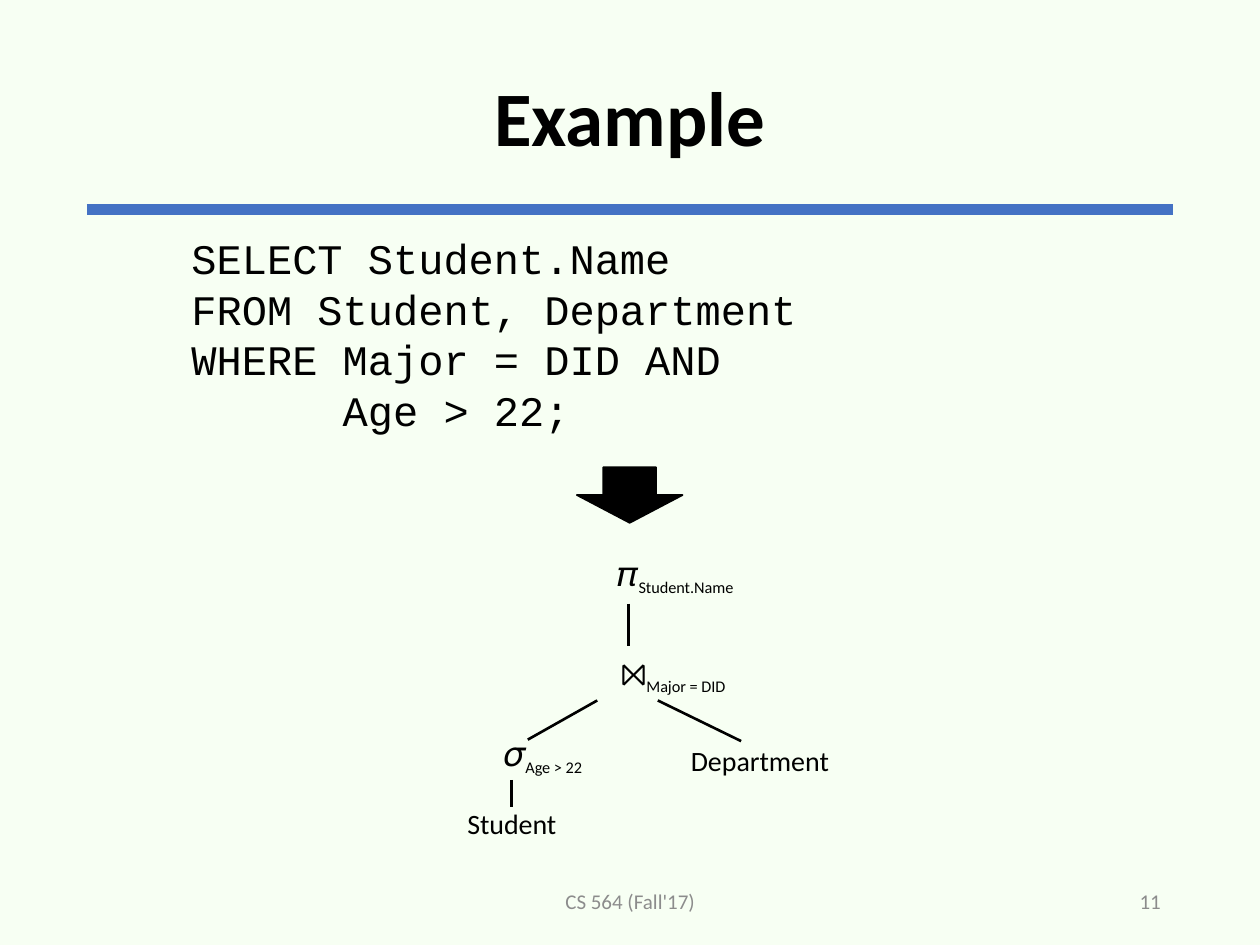
"""Build a slide that turns an SQL query into a relational algebra tree."""
from typing import NamedTuple

from lxml import etree
from pptx import Presentation
from pptx.dml.color import RGBColor
from pptx.enum.shapes import MSO_CONNECTOR, MSO_SHAPE
from pptx.enum.text import MSO_ANCHOR, PP_ALIGN
from pptx.oxml.ns import qn
from pptx.util import Cm, Pt

STRAIGHT = MSO_CONNECTOR.STRAIGHT
DOWN_ARROW = MSO_SHAPE.DOWN_ARROW
TOP, MIDDLE = MSO_ANCHOR.TOP, MSO_ANCHOR.MIDDLE
LEFT, CENTER, RIGHT = PP_ALIGN.LEFT, PP_ALIGN.CENTER, PP_ALIGN.RIGHT
BLACK = RGBColor(0x00, 0x00, 0x00)
GRAY = RGBColor(0x8C, 0x8C, 0x8C)
BLUE = RGBColor(0x44, 0x72, 0xC4)
PALE_GREEN = RGBColor(0xF7, 0xFF, 0xF3)
NODE_W, NODE_H = 3.68, 1.0
QUERY = """SELECT Student.Name
FROM Student, Department
WHERE Major = DID AND
      Age > 22;"""


class Label(NamedTuple):
    text: str
    x: float
    y: float
    w: float
    h: float
    size: float
    align: PP_ALIGN = CENTER
    anchor: MSO_ANCHOR = MIDDLE
    font: str = "Calibri"
    color: RGBColor = BLACK
    bold: bool = False
    spacing: float = 1.0


class Node(NamedTuple):
    cx: float
    cy: float
    text: str
    size: float = 16
    subscript: str = ""


class Line(NamedTuple):
    x1: float
    y1: float
    x2: float
    y2: float
    color: RGBColor = BLACK
    width: float = 1.5


LABELS = [
    Label("Example", 1.75, 0.61, 21.9, 3.68, 44, bold=True, spacing=0.9),
    Label("CS 564 (Fall'17)", 8.41, 17.65, 8.59, 1.02, 12, color=GRAY),
    Label("11", 17.93, 17.65, 5.72, 1.02, 12, align=RIGHT, color=GRAY),
    Label(QUERY, 3.61, 4.57, 18.21, 4.37, 24, LEFT, TOP, "Courier New"),
]
NODES = [
    Node(13.62, 11.58, "𝜋", 20, "Student.Name"),
    Node(13.57, 13.61, "⨝", 18, "Major = DID"),
    Node(10.95, 15.2, "𝜎", 20, "Age > 22"),
    Node(10.32, 16.6, "Student"),
    Node(15.32, 15.33, "Department"),
]
LINES = [
    Line(1.75, 4.22, 23.65, 4.22, BLUE, 6),
    Line(12.67, 12.17, 12.67, 13.03),
    Line(12.04, 14.12, 10.64, 14.91),
    Line(13.26, 14.12, 14.94, 14.94),
    Line(10.31, 15.72, 10.31, 16.26),
]


def add_label(s, label: Label):
    """Add a text box and return its text frame."""
    sp = s.shapes.add_textbox(Cm(label.x), Cm(label.y), Cm(label.w), Cm(label.h))
    tf = sp.text_frame
    tf.word_wrap = True
    tf.vertical_anchor = label.anchor
    tf.text = label.text
    for p in tf.paragraphs:
        p.alignment = label.align
        p.line_spacing = label.spacing
        for r in p.runs:
            r.font.name = label.font
            r.font.size = Pt(label.size)
            r.font.bold = label.bold
            r.font.color.rgb = label.color
    return tf


def add_node(s, node: Node) -> None:
    """Add a tree node centred on its point, with an optional subscript."""
    tf = add_label(s, Label(node.text, node.cx - NODE_W / 2, node.cy - NODE_H / 2,
                            NODE_W, NODE_H, node.size))
    tf.word_wrap = False
    if node.subscript:
        r = tf.paragraphs[0].add_run()
        r.text = node.subscript
        r.font.name = "Calibri"
        r.font.size = Pt(16)
        r.font.color.rgb = BLACK
        r._r.get_or_add_rPr().set("baseline", "-25000")


def add_line(s, line: Line) -> None:
    """Add a straight line without a shadow."""
    c = s.shapes.add_connector(STRAIGHT, Cm(line.x1), Cm(line.y1), Cm(line.x2), Cm(line.y2))
    c.line.color.rgb = line.color
    c.line.width = Pt(line.width)
    etree.SubElement(c._element.spPr, qn("a:effectLst"))


def add_arrow(s) -> None:
    """Add the black arrow from the query to the tree."""
    sp = s.shapes.add_shape(DOWN_ARROW, Cm(11.63), Cm(9.42), Cm(2.13), Cm(1.12))
    sp.shadow.inherit = False
    sp.fill.solid()
    sp.fill.fore_color.rgb = BLACK
    sp.line.color.rgb = BLACK
    sp.line.width = Pt(1)


def main() -> None:
    """Build and save the slide."""
    prs = Presentation()
    prs.slide_width, prs.slide_height = Cm(25.4), Cm(19.05)
    s = prs.slides.add_slide(prs.slide_layouts[6])
    s.background.fill.solid()
    s.background.fill.fore_color.rgb = PALE_GREEN
    for line in LINES:
        add_line(s, line)
    for label in LABELS:
        add_label(s, label)
    add_arrow(s)
    for node in NODES:
        add_node(s, node)
    prs.save("out.pptx")


if __name__ == "__main__":
    main()
